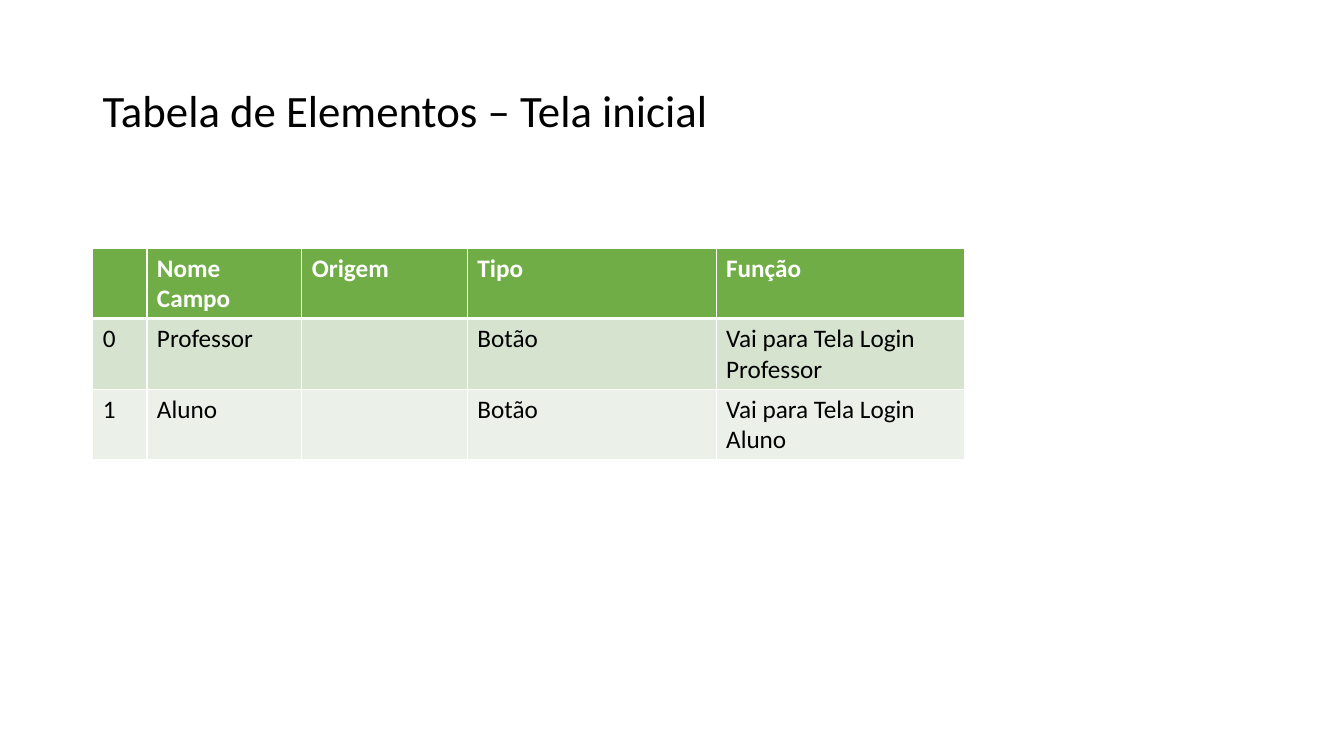
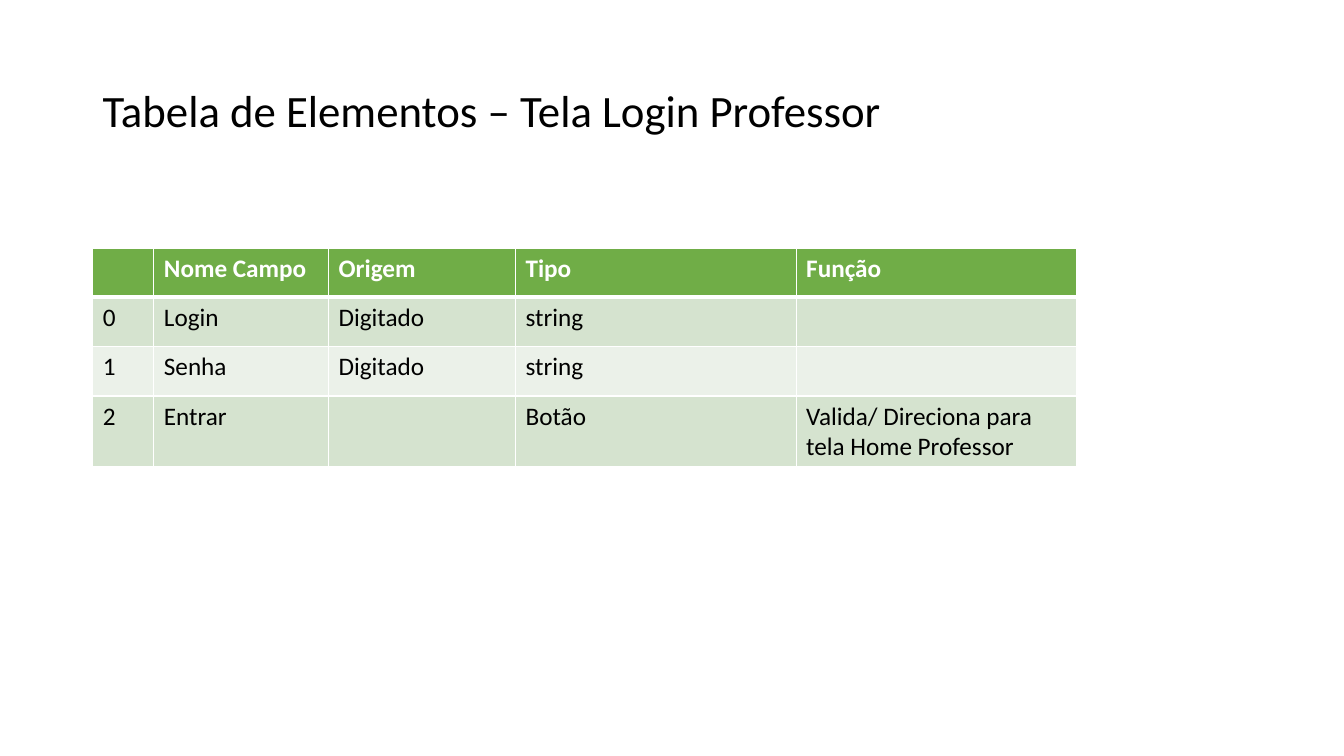
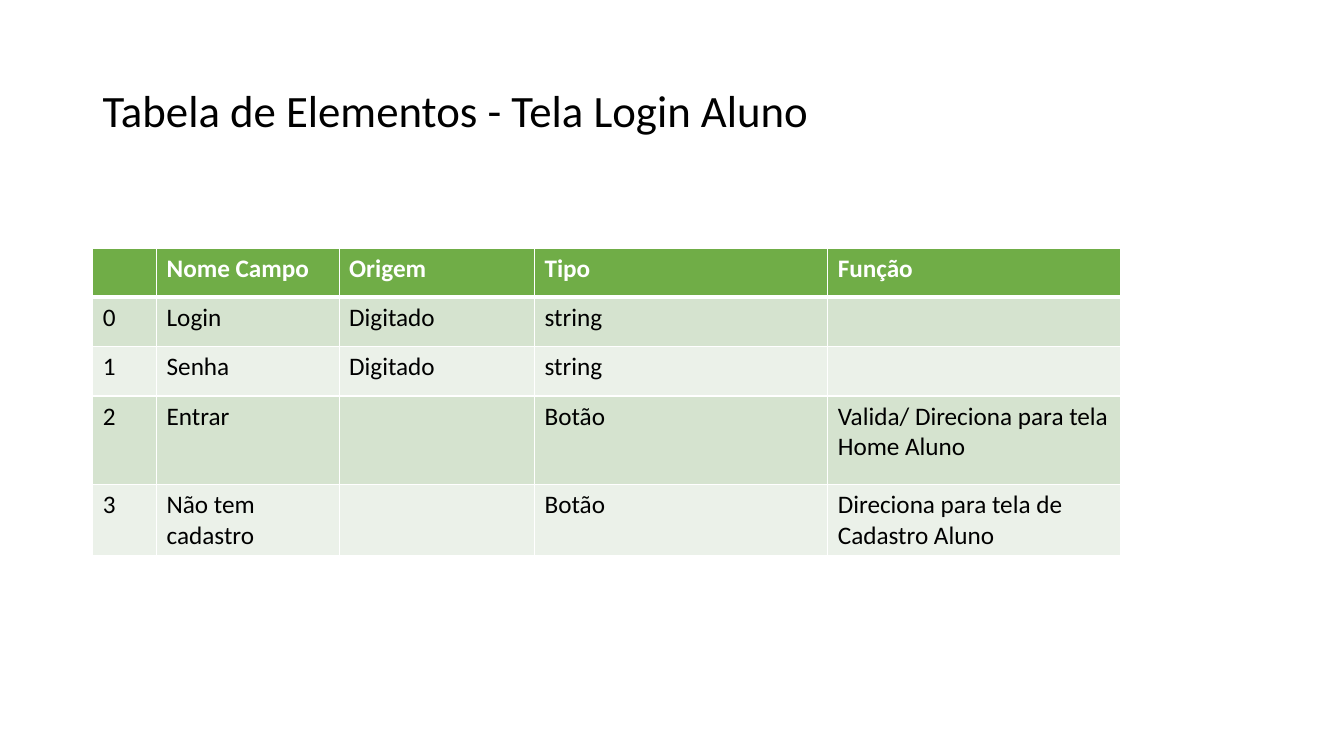
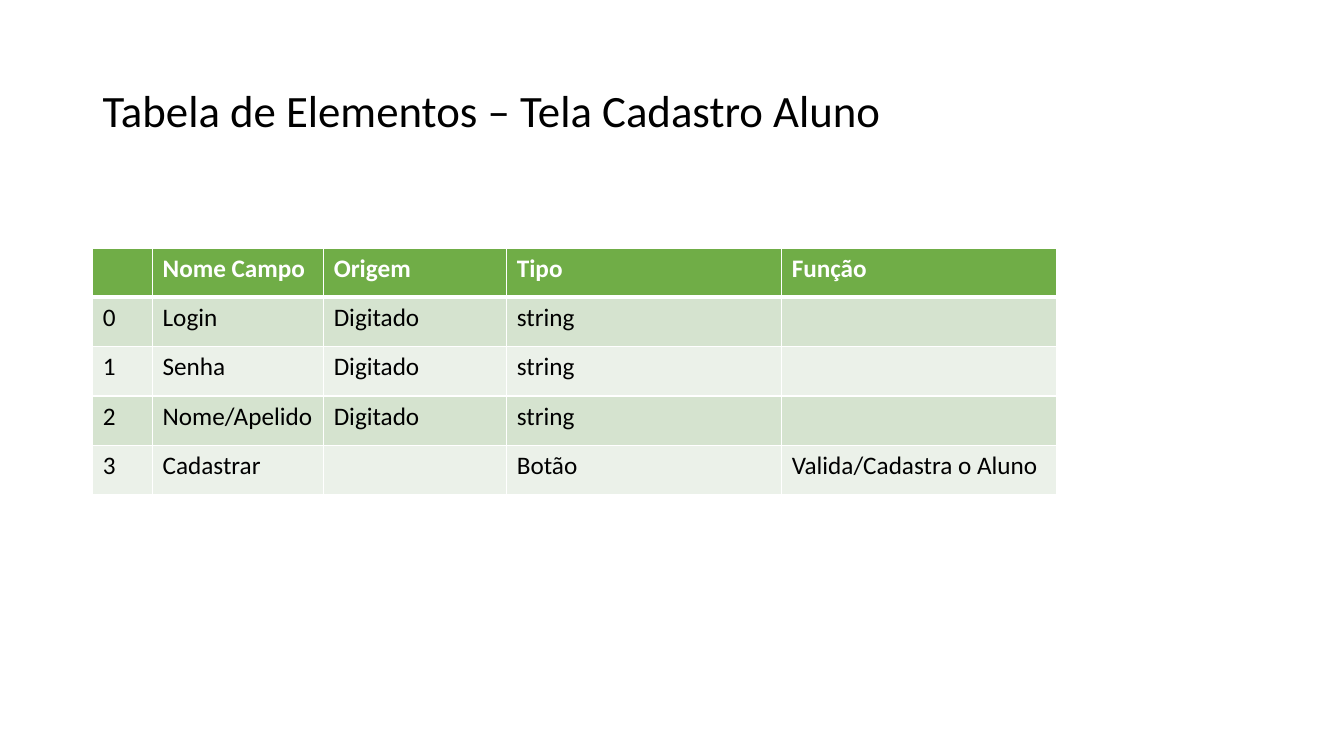
from dataclasses import dataclass

from lxml.etree import SubElement
from pptx import Presentation
from pptx.dml.color import RGBColor
from pptx.enum.text import MSO_ANCHOR
from pptx.oxml.ns import qn
from pptx.util import Inches, Pt

# Content: title, table width, rows and any taller rows (row number: height)
HEADER = ("", "Nome Campo", "Origem", "Tipo", "Função")
LOGIN_FIELDS = [
    ("Login", "Digitado", "string", ""),
    ("Senha", "Digitado", "string", ""),
]
SCREENS = [
    {
        "title": "Tabela de Elementos – Tela inicial",
        "width": 8.65,
        "fields": [
            ("Professor", "", "Botão", "Vai para Tela Login Professor"),
            ("Aluno", "", "Botão", "Vai para Tela Login Aluno"),
        ],
    },
    {
        "title": "Tabela de Elementos – Tela Login Professor",
        "width": 9.76,
        "fields": LOGIN_FIELDS + [
            ("Entrar", "", "Botão", "Valida/ Direciona para tela Home Professor"),
        ],
    },
    {
        "title": "Tabela de Elementos - Tela Login Aluno",
        "width": 10.2,
        "fields": LOGIN_FIELDS + [
            ("Entrar", "", "Botão", "Valida/ Direciona para tela Home Aluno"),
            ("Não tem cadastro", "", "Botão", "Direciona para tela de Cadastro Aluno"),
        ],
        "tall_rows": {3: 0.88},
    },
    {
        "title": "Tabela de Elementos – Tela Cadastro Aluno",
        "width": 9.56,
        "fields": LOGIN_FIELDS + [
            ("Nome/Apelido", "Digitado", "string", ""),
            ("Cadastrar", "", "Botão", "Valida/Cadastra o Aluno"),
        ],
    },
]


# Look shared by all slides
@dataclass(frozen=True)
class Theme:
    font: str = "Calibri"
    title_size: int = 32
    table_size: int = 18
    text: str = "000000"
    header_text: str = "FFFFFF"
    header_fill: str = "70AD47"
    bands: tuple = ("D5E3CF", "EBF1E9")
    border: str = "FFFFFF"
    thin: int = 1
    thick: int = 3


THEME = Theme()
LEFT = 0.92
TITLE_BOX = (LEFT, 0.4, 11.5, 1.45)
TABLE_TOP = 2.46
ROW_HEIGHT = 0.49
COLUMN_PERCENTS = (6.21, 17.75, 19, 28.52, 28.52)


def add_run(paragraph, text, size, color, bold=False):
    run = paragraph.add_run()
    run.text = text
    run.font.name = THEME.font
    run.font.size = Pt(size)
    run.font.bold = bold
    run.font.color.rgb = RGBColor.from_string(color)


def add_title(slide, text):
    shape = slide.shapes.add_textbox(*(Inches(value) for value in TITLE_BOX))
    frame = shape.text_frame
    frame.word_wrap = True
    frame.vertical_anchor = MSO_ANCHOR.MIDDLE
    paragraph = frame.paragraphs[0]
    paragraph.line_spacing = 0.9
    add_run(paragraph, text, THEME.title_size, THEME.text)


def set_borders(cell, top, bottom):
    properties = cell._tc.get_or_add_tcPr()
    widths = {"a:lnL": THEME.thin, "a:lnR": THEME.thin, "a:lnT": top, "a:lnB": bottom}
    for tag, width in widths.items():
        line = SubElement(properties, qn(tag), w=str(Pt(width)))
        fill = SubElement(line, qn("a:solidFill"))
        SubElement(fill, qn("a:srgbClr"), val=THEME.border)


def style_cell(cell, text, row_number):
    is_header = row_number == 0
    # Borders come before the fill in the cell properties
    set_borders(
        cell,
        top=THEME.thick if row_number == 1 else THEME.thin,
        bottom=THEME.thick if is_header else THEME.thin,
    )
    fill_color = THEME.header_fill if is_header else THEME.bands[(row_number - 1) % 2]
    cell.fill.solid()
    cell.fill.fore_color.rgb = RGBColor.from_string(fill_color)
    if text:
        color = THEME.header_text if is_header else THEME.text
        add_run(cell.text_frame.paragraphs[0], text, THEME.table_size, color, is_header)


def add_field_table(slide, width, fields, tall_rows):
    rows = [HEADER] + [(str(number), *field) for number, field in enumerate(fields)]
    heights = [tall_rows.get(number, ROW_HEIGHT) for number in range(len(rows))]
    table = slide.shapes.add_table(
        len(rows), len(HEADER),
        Inches(LEFT), Inches(TABLE_TOP), Inches(width), Inches(sum(heights)),
    ).table
    table.horz_banding = False
    for column, percent in zip(table.columns, COLUMN_PERCENTS):
        column.width = Inches(width * percent / 100)
    for row_number, (values, height) in enumerate(zip(rows, heights)):
        table.rows[row_number].height = Inches(height)
        for column_number, text in enumerate(values):
            style_cell(table.cell(row_number, column_number), text, row_number)


def main():
    presentation = Presentation()
    presentation.slide_width = Inches(13.33)
    presentation.slide_height = Inches(7.5)
    blank_layout = presentation.slide_layouts[6]
    for screen in SCREENS:
        slide = presentation.slides.add_slide(blank_layout)
        add_title(slide, screen["title"])
        add_field_table(slide, screen["width"], screen["fields"], screen.get("tall_rows", {}))
    presentation.save("out.pptx")


if __name__ == "__main__":
    main()
